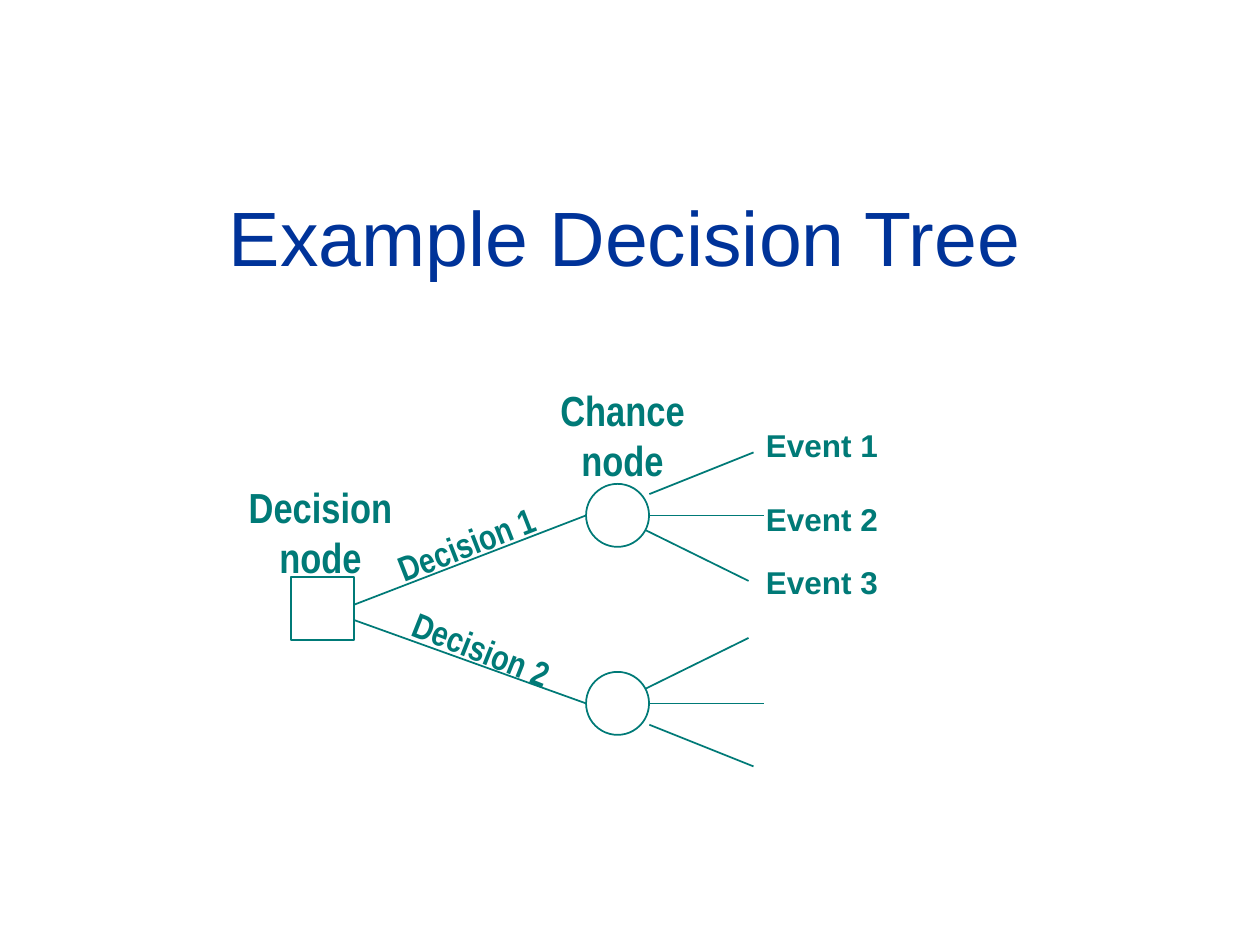
from lxml import etree
from pptx import Presentation
from pptx.dml.color import RGBColor
from pptx.enum.shapes import MSO_CONNECTOR, MSO_SHAPE
from pptx.enum.text import MSO_ANCHOR, PP_ALIGN
from pptx.oxml.ns import qn
from pptx.util import Cm, Pt

CENTER, LEFT = PP_ALIGN.CENTER, PP_ALIGN.LEFT
TOP, MIDDLE = MSO_ANCHOR.TOP, MSO_ANCHOR.MIDDLE

THEME = {
    "title": RGBColor(0x00, 0x33, 0x99),
    "tree": RGBColor(0x00, 0x7A, 0x77),
    "node_fill": RGBColor(0xFF, 0xFF, 0xFF),
    "font": "Arial",
    "narrow": "Arial Narrow",
    "title_size": Pt(44),
    "node_size": Pt(24),
    "decision_size": Pt(20),
    "event_size": Pt(18),
    "line": Pt(1),
}

# All positions are in centimetres.
TITLE = ("Example Decision Tree", (3.61, 3.38, 17.98, 2.74))
NODE_LABELS = [
    (["Decision ", "node"], (4.67, 9.58, 3.58, 2.29)),
    (["Chance ", "node"], (10.95, 7.62, 3.2, 2.29)),
]
DECISIONS = [  # label, box, rotation
    ("Decision 1", (7.7, 10.41, 3.4, 1.12), 338.7),
    ("Decision 2", (7.85, 12.5, 3.4, 1.96), 21.7),
]
EVENTS = [("Event 1", 8.46), ("Event 2", 9.96), ("Event 3", 11.23)]
EVENT_LEFT, EVENT_WIDTH, EVENT_HEIGHT = 15.19, 2.97, 1.02

NODE = 1.27
DECISION_CENTER = (6.5, 12.27)
CHANCE_X = 12.45
CHANCE_NODES = [(10.39, 1), (14.18, -1)]  # centre y, direction of the fan
DECISION_STARTS = [(6.93, 12.27), (7.14, 12.5)]
EVENT_FAN = [  # start and end, measured from the chance node's centre
    ((0.64, -0.43), (2.74, -1.27)),
    ((0.64, 0), (2.95, 0)),
    ((0.53, 0.28), (2.64, 1.32)),
]


def add_branch(slide, start, end):
    branch = slide.shapes.add_connector(
        MSO_CONNECTOR.STRAIGHT, *(Cm(v) for v in (*start, *end)))
    branch.line.color.rgb = THEME["tree"]
    branch.line.width = THEME["line"]
    etree.SubElement(branch._element.spPr, qn("a:effectLst"))


def add_node(slide, preset, center):
    left, top = (v - NODE / 2 for v in center)
    node = slide.shapes.add_shape(preset, Cm(left), Cm(top), Cm(NODE), Cm(NODE))
    node.shadow.inherit = False
    node.fill.solid()
    node.fill.fore_color.rgb = THEME["node_fill"]
    node.line.color.rgb = THEME["tree"]
    node.line.width = THEME["line"]


def add_label(slide, lines, box, size, font=THEME["font"], color=THEME["tree"],
              bold=True, align=CENTER, anchor=TOP, wrap=False, rotation=0):
    label = slide.shapes.add_textbox(*(Cm(v) for v in box))
    label.rotation = rotation
    frame = label.text_frame
    frame.word_wrap = wrap
    frame.vertical_anchor = anchor
    frame.text = "\n".join(lines)
    for paragraph in frame.paragraphs:
        paragraph.alignment = align
        paragraph.font.name = font
        paragraph.font.size = size
        paragraph.font.bold = bold
        paragraph.font.color.rgb = color


def main():
    deck = Presentation()
    deck.slide_width, deck.slide_height = Cm(25.4), Cm(19.05)
    slide = deck.slides.add_slide(deck.slide_layouts[6])

    title, title_box = TITLE
    add_label(slide, [title], title_box, THEME["title_size"],
              color=THEME["title"], bold=False, anchor=MIDDLE, wrap=True)

    for start, (chance_y, direction) in zip(DECISION_STARTS, CHANCE_NODES):
        add_branch(slide, start, (CHANCE_X - NODE / 2, chance_y))
        for fan_branch in EVENT_FAN:
            add_branch(slide, *((CHANCE_X + dx, chance_y + direction * dy)
                                for dx, dy in fan_branch))

    add_node(slide, MSO_SHAPE.RECTANGLE, DECISION_CENTER)
    for chance_y, _ in CHANCE_NODES:
        add_node(slide, MSO_SHAPE.OVAL, (CHANCE_X, chance_y))

    for lines, box in NODE_LABELS:
        add_label(slide, lines, box, THEME["node_size"], THEME["narrow"])
    for decision, box, rotation in DECISIONS:
        add_label(slide, [decision], box, THEME["decision_size"],
                  THEME["narrow"], rotation=rotation)
    for event, top in EVENTS:
        add_label(slide, [event], (EVENT_LEFT, top, EVENT_WIDTH, EVENT_HEIGHT),
                  THEME["event_size"], align=LEFT, wrap=True)

    deck.save("out.pptx")


if __name__ == "__main__":
    main()
